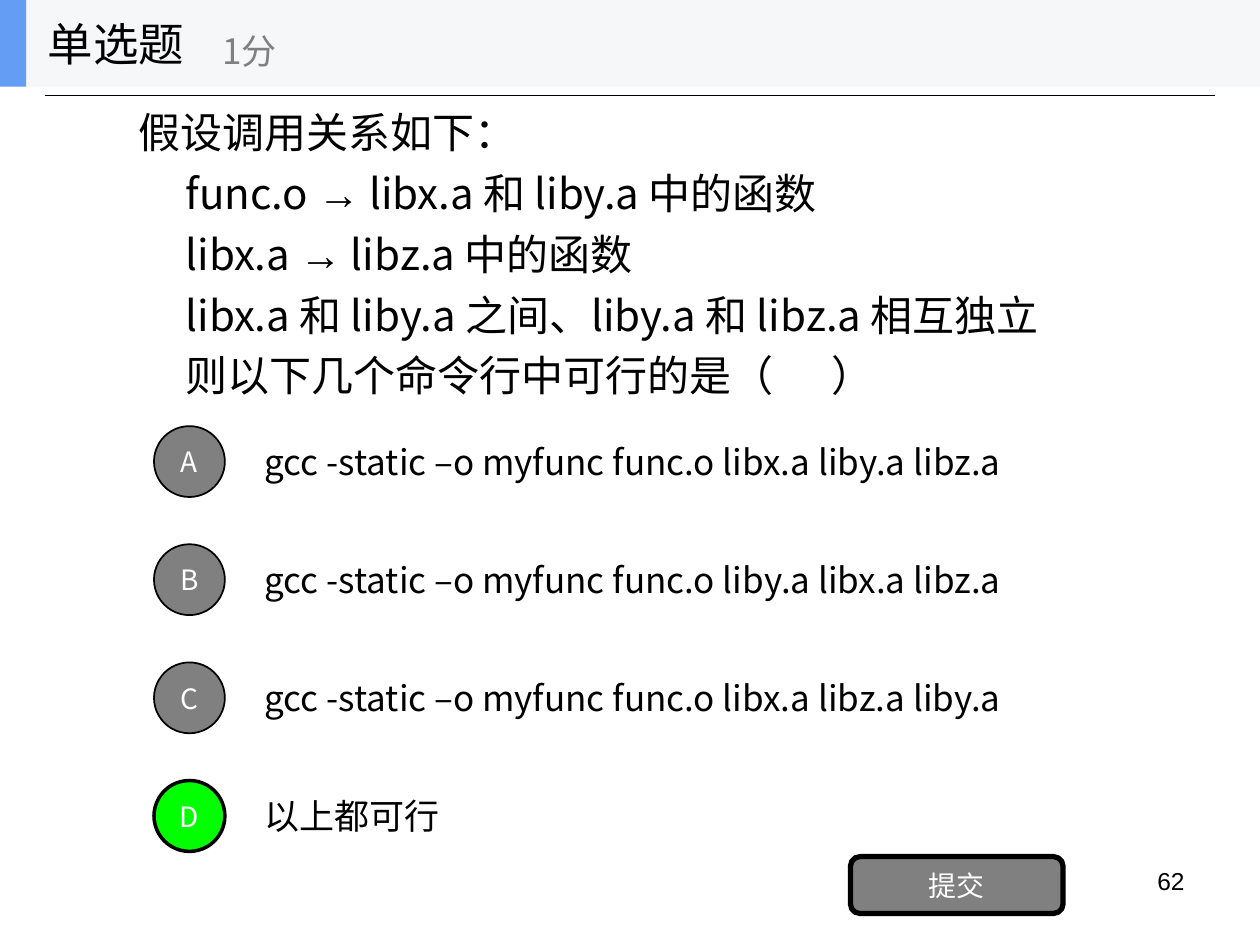
from dataclasses import dataclass

from lxml.etree import SubElement
from pptx import Presentation
from pptx.dml.color import RGBColor
from pptx.enum.shapes import MSO_CONNECTOR, MSO_SHAPE
from pptx.enum.text import MSO_ANCHOR, MSO_AUTO_SIZE, PP_ALIGN
from pptx.oxml.ns import qn
from pptx.util import Pt

COLORS = {
    "black": "000000", "white": "FFFFFF", "gray": "808080",
    "answer": "00FF00", "band": "F6F7F8", "accent": "639EF4",
}
CJK = "Noto Sans CJK SC"
QUESTION = [
    "假设调用关系如下：",
    "func.o → libx.a 和 liby.a 中的函数",
    "libx.a → libz.a 中的函数",
    "libx.a 和 liby.a 之间、liby.a 和 libz.a 相互独立",
    "则以下几个命令行中可行的是（\t）",
]
OPTIONS = [
    ("A", "gcc -static –o myfunc func.o libx.a liby.a libz.a"),
    ("B", "gcc -static –o myfunc func.o liby.a libx.a libz.a"),
    ("C", "gcc -static –o myfunc func.o libx.a libz.a liby.a"),
    ("D", "以上都可行"),
]
ANSWER = "D"


@dataclass
class Box:
    left: float
    top: float
    width: float
    height: float

    def inner(self, left, top, width, height):
        return Box(self.left + left, self.top + top, width, height)

    def lengths(self):
        return Pt(self.left), Pt(self.top), Pt(self.width), Pt(self.height)


def rgb(name):
    return RGBColor.from_string(COLORS[name])


def set_typeface(font, name):
    """Use one typeface for both Latin and East Asian text."""
    font.name = name
    SubElement(font._element, qn("a:ea")).set("typeface", name)


def style(para, size, color="black", name=CJK, align=PP_ALIGN.LEFT):
    para.alignment = align
    para.font.size = Pt(size)
    para.font.color.rgb = rgb(color)
    set_typeface(para.font, name)


def add_text(page, box, text, size, anchor=MSO_ANCHOR.MIDDLE, **look):
    frame = page.shapes.add_textbox(*box.lengths()).text_frame
    frame.word_wrap = True
    frame.vertical_anchor = anchor
    frame.text = text
    style(frame.paragraphs[0], size, **look)


def add_block(page, box, kind, fill, line_width=0, text=""):
    block = page.shapes.add_shape(kind, *box.lengths())
    block.shadow.inherit = False
    block.fill.solid()
    block.fill.fore_color.rgb = rgb(fill)
    if line_width:
        block.line.color.rgb = rgb("black")
        block.line.width = Pt(line_width)
    else:
        block.line.fill.background()
    if text:
        frame = block.text_frame
        frame.word_wrap = True
        frame.vertical_anchor = MSO_ANCHOR.MIDDLE
        frame.text = text
        style(frame.paragraphs[0], 16, "white", align=PP_ALIGN.CENTER)


def add_header(page, box):
    # Band with accent
    add_block(page, box, MSO_SHAPE.RECTANGLE, "band")
    add_block(page, box.inner(0, 0, 15, box.height), MSO_SHAPE.RECTANGLE, "accent")

    # Title, raised above the band
    title = page.shapes.title
    title.left, title.top, title.width, title.height = box.inner(20, 0, 100, box.height).lengths()
    frame = title.text_frame
    frame.auto_size = MSO_AUTO_SIZE.NONE
    frame.word_wrap = True
    frame.vertical_anchor = MSO_ANCHOR.MIDDLE
    frame.text = "单选题"
    style(frame.paragraphs[0], 26)
    page.shapes.element.append(title.element)

    # Score
    add_text(page, box.inner(120, 9, 180, 40), "1分", 20, color="gray")

    # Rule below the band
    rule_top = Pt(box.top + box.height + 5)
    rule = page.shapes.add_connector(
        MSO_CONNECTOR.STRAIGHT, Pt(box.left + 25.5), rule_top,
        Pt(box.left + box.width - 25.5), rule_top)
    rule.line.color.rgb = rgb("black")
    rule.line.width = Pt(0.75)
    SubElement(rule.element.spPr, qn("a:effectLst"))


def add_question(page, box):
    frame = page.shapes.add_textbox(*box.lengths()).text_frame
    frame.word_wrap = True
    frame.vertical_anchor = MSO_ANCHOR.MIDDLE
    for number, line in enumerate(QUESTION):
        para = frame.add_paragraph() if number else frame.paragraphs[0]
        para.line_spacing = 1.05
        if number:
            para.space_before = Pt(4.5)
            properties = para._p.get_or_add_pPr()
            properties.set("indent", str(Pt(27)))
            if "\t" in line:
                # The tab leaves the blank for the answer
                tabs = SubElement(properties, qn("a:tabLst"))
                SubElement(tabs, qn("a:tab"), pos=str(Pt(410)), algn="l")
        before, arrow, after = line.partition("→")
        for text in filter(None, (before, arrow, after)):
            span = para.add_run()
            span.text = text
            if text == arrow:
                set_typeface(span.font, "Arial")
        style(para, 24)


def add_options(page, box):
    pitch = box.height / len(OPTIONS)
    for number, (letter, text) in enumerate(OPTIONS):
        row = box.inner(0, number * pitch, box.width, 50)
        chosen = letter == ANSWER
        add_block(page, row.inner(0, 5, 40.5, 40.5), MSO_SHAPE.OVAL,
                  "answer" if chosen else "gray", 2 if chosen else 1, letter)
        add_text(page, row.inner(56, 0, 504, 50), text, 20)


def add_footer(page, box):
    # Submit button and page number
    add_block(page, box.inner(0, 0, 121.5, 32.5), MSO_SHAPE.ROUNDED_RECTANGLE, "gray", 3, "提交")
    add_text(page, box.inner(30, 2, box.width - 30, 37), "62", 14, MSO_ANCHOR.TOP,
             name="Arial", align=PP_ALIGN.RIGHT)


def main():
    deck = Presentation()
    deck.slide_width, deck.slide_height = Pt(720), Pt(540)
    page = deck.slides.add_slide(deck.slide_layouts.get_by_name("Title Only"))
    add_header(page, Box(0, 0, 720, 49.5))
    add_question(page, Box(72, 60, 576, 168.5))
    add_options(page, Box(88, 238.5, 560, 270))
    add_footer(page, Box(486, 489.5, 198, 39))
    deck.save("out.pptx")


if __name__ == "__main__":
    main()
